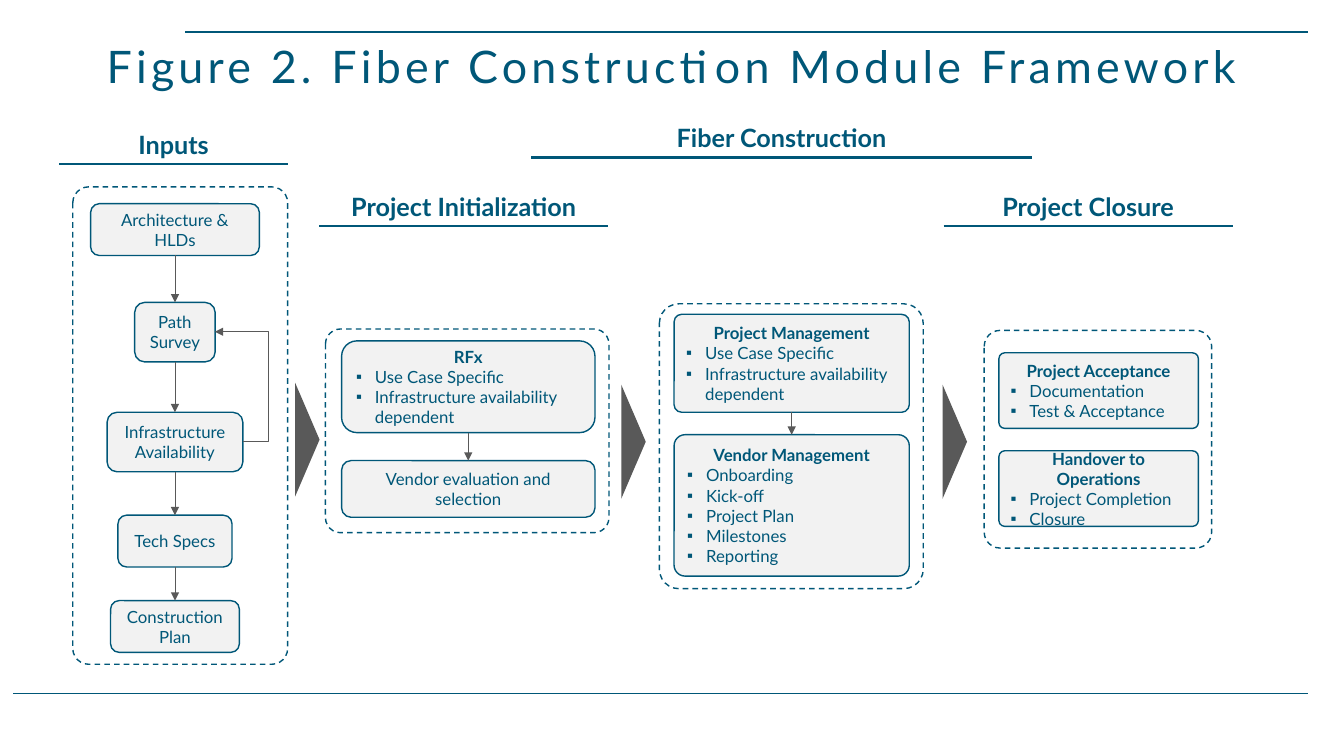
from lxml import etree
from pptx import Presentation
from pptx import util as u
from pptx.dml import color
from pptx.enum import dml, shapes, text
from pptx.oxml import ns

TEAL, GRAY, PALE = "005778", "595959", "F2F2F2"
rgb = color.RGBColor.from_string

deck = Presentation()
deck.slide_width, deck.slide_height = u.Pt(960), u.Pt(540)
page = deck.slides.add_slide(deck.slide_layouts[6])


def write(box, size, lines, bold=False):
    frame = box.text_frame
    frame.word_wrap = True
    for index, line in enumerate(lines):
        para = frame.paragraphs[0] if index == 0 else frame.add_paragraph()
        para.alignment = text.PP_ALIGN.LEFT if index else text.PP_ALIGN.CENTER
        span = para.add_run()
        span.text = line
        span.font.name = "Lato"
        span.font.size = u.Pt(size)
        span.font.bold = bold and (index == 0)
        span.font.color.rgb = rgb(TEAL)
        if index:
            props = para._p.get_or_add_pPr()
            props.set("marL", str(u.Pt(13.5)))
            props.set("indent", str(-u.Pt(13.5)))
            etree.SubElement(props, ns.qn("a:buFont"), typeface="Arial")
            etree.SubElement(props, ns.qn("a:buChar"), char="▪")


def connect(start, end, ink, weight, arrow=False, kind=shapes.MSO_CONNECTOR.STRAIGHT):
    line = page.shapes.add_connector(kind, *(u.Pt(value) for value in start + end))
    line.line.color.rgb = rgb(ink)
    line.line.width = u.Pt(weight)
    if arrow:
        etree.SubElement(line.line._get_or_add_ln(), ns.qn("a:tailEnd"), type="triangle")
    etree.SubElement(line._element.spPr, ns.qn("a:effectLst"))
    return line


connect((132.5, 23), (934, 23), TEAL, 1)
connect((9.5, 495.5), (934, 495.5), TEAL, 1)

title = page.shapes.add_textbox(0, u.Pt(26), u.Pt(960), u.Pt(43))
title.text_frame.vertical_anchor = text.MSO_ANCHOR.BOTTOM
write(title, 32, ["Figure 2. Fiber Construction Module Framework"])
title_para = title.text_frame.paragraphs[0]
title_para.line_spacing = 0.8
title_para.runs[0].font._element.set("spc", "300")

headings = [
    ("Inputs", 42.5, 88.5, 163),
    ("Fiber Construction", 379.5, 84, 357.5),
    ("Project Initialization", 228, 133, 206.5),
    ("Project Closure", 674, 133, 206.5),
]
for label, left, top, width in headings:
    box = page.shapes.add_textbox(u.Pt(left), u.Pt(top), u.Pt(width), u.Pt(29))
    write(box, 18, [label], bold=True)
    box.text_frame.auto_size = text.MSO_AUTO_SIZE.SHAPE_TO_FIT_TEXT
    connect((left, top + 28.5), (left + width, top + 28.5), TEAL, 1.5)

panels = [
    (52, 133.5, 153.5, 341),
    (232.5, 235, 202.5, 145.5),
    (471, 217, 188.5, 203.5),
    (703, 236, 162.5, 155.5),
]
for bounds in panels:
    panel = page.shapes.add_shape(
        shapes.MSO_SHAPE.ROUNDED_RECTANGLE, *(u.Pt(value) for value in bounds))
    panel.adjustments[0] = 0.074
    panel.shadow.inherit = False
    panel.fill.background()
    panel.line.color.rgb = rgb(TEAL)
    panel.line.width = u.Pt(1)
    panel.line.dash_style = dml.MSO_LINE.DASH

INPUT_CENTER = 125
input_steps = [
    ("Architecture & HLDs", 145.5, 120.5, 37),
    ("Path Survey", 216, 57.5, 42.5),
    ("Infrastructure Availability", 294.5, 97, 42.5),
    ("Tech Specs", 368, 81.5, 37),
    ("Construction Plan", 429, 92, 37),
]
cards = [
    (INPUT_CENTER - width / 2, top, width, height, 0.167, [label])
    for label, top, width, height in input_steps
] + [
    (244, 243.5, 181, 65.5, 0.167,
     ["RFx", "Use Case Specific", "Infrastructure availability dependent"]),
    (244, 329, 181, 40.5, 0.167, ["Vendor evaluation and selection"]),
    (481.5, 224.5, 168, 70, 0.078,
     ["Project Management", "Use Case Specific", "Infrastructure availability dependent"]),
    (481.5, 310.5, 168, 101, 0.078,
     ["Vendor Management", "Onboarding", "Kick-off", "Project Plan", "Milestones", "Reporting"]),
    (713.5, 252, 142.5, 54, 0.078,
     ["Project Acceptance", "Documentation", "Test & Acceptance"]),
    (713.5, 322, 142.5, 54, 0.078,
     ["Handover to Operations", "Project Completion", "Closure"]),
]
for left, top, width, height, corner, lines in cards:
    card = page.shapes.add_shape(
        shapes.MSO_SHAPE.ROUNDED_RECTANGLE, u.Pt(left), u.Pt(top), u.Pt(width), u.Pt(height))
    card.adjustments[0] = corner
    card.shadow.inherit = False
    card.fill.solid()
    card.fill.fore_color.rgb = rgb(PALE)
    card.line.color.rgb = rgb(TEAL)
    card.line.width = u.Pt(1)
    card.text_frame.vertical_anchor = text.MSO_ANCHOR.MIDDLE
    write(card, 12, lines, bold=len(lines) > 1)

for upper, lower in zip(cards[:9], cards[1:9]):
    if upper[1] + upper[3] < lower[1] and abs(upper[0] - lower[0]) < 100:
        center = upper[0] + upper[2] / 2
        connect((center, upper[1] + upper[3]), (center, lower[1]), GRAY, 0.5, arrow=True)

feedback = connect((173.5, 315.5), (153.5, 237), GRAY, 0.5, True, shapes.MSO_CONNECTOR.ELBOW)
guides = feedback._element.spPr.find(ns.qn("a:prstGeom")).find(ns.qn("a:avLst"))
etree.SubElement(guides, ns.qn("a:gd"), name="adj1", fmla="val -90300")

LENGTH, DEPTH = 81.5, 17.5
for center, middle in [(219.5, 314), (452.5, 315.5), (682, 315.5)]:
    pointer = page.shapes.add_shape(
        shapes.MSO_SHAPE.ISOSCELES_TRIANGLE,
        u.Pt(center - LENGTH / 2), u.Pt(middle - DEPTH / 2), u.Pt(LENGTH), u.Pt(DEPTH))
    pointer.rotation = 90
    pointer.shadow.inherit = False
    pointer.fill.solid()
    pointer.fill.fore_color.rgb = rgb(GRAY)
    pointer.line.fill.background()

deck.save("out.pptx")
